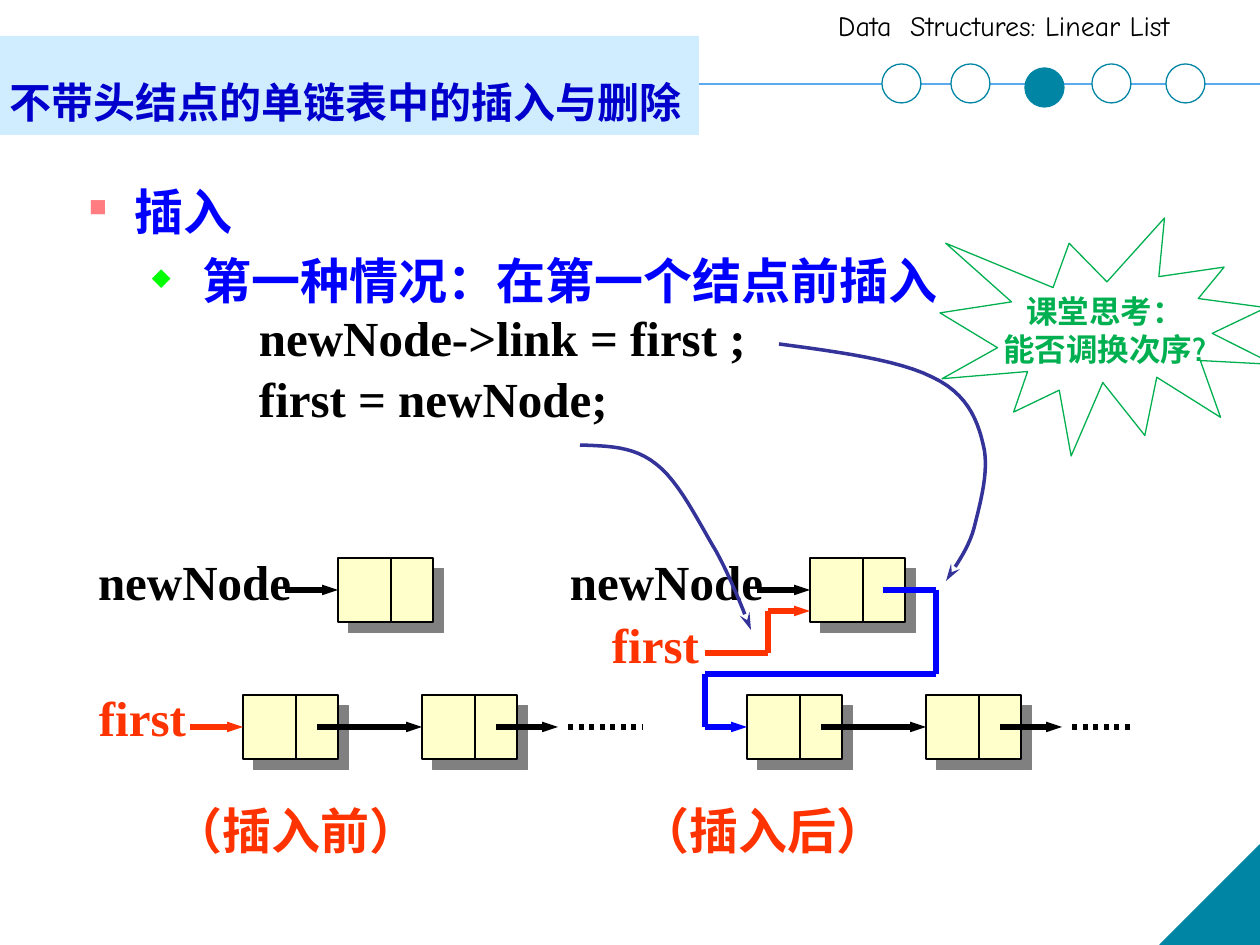
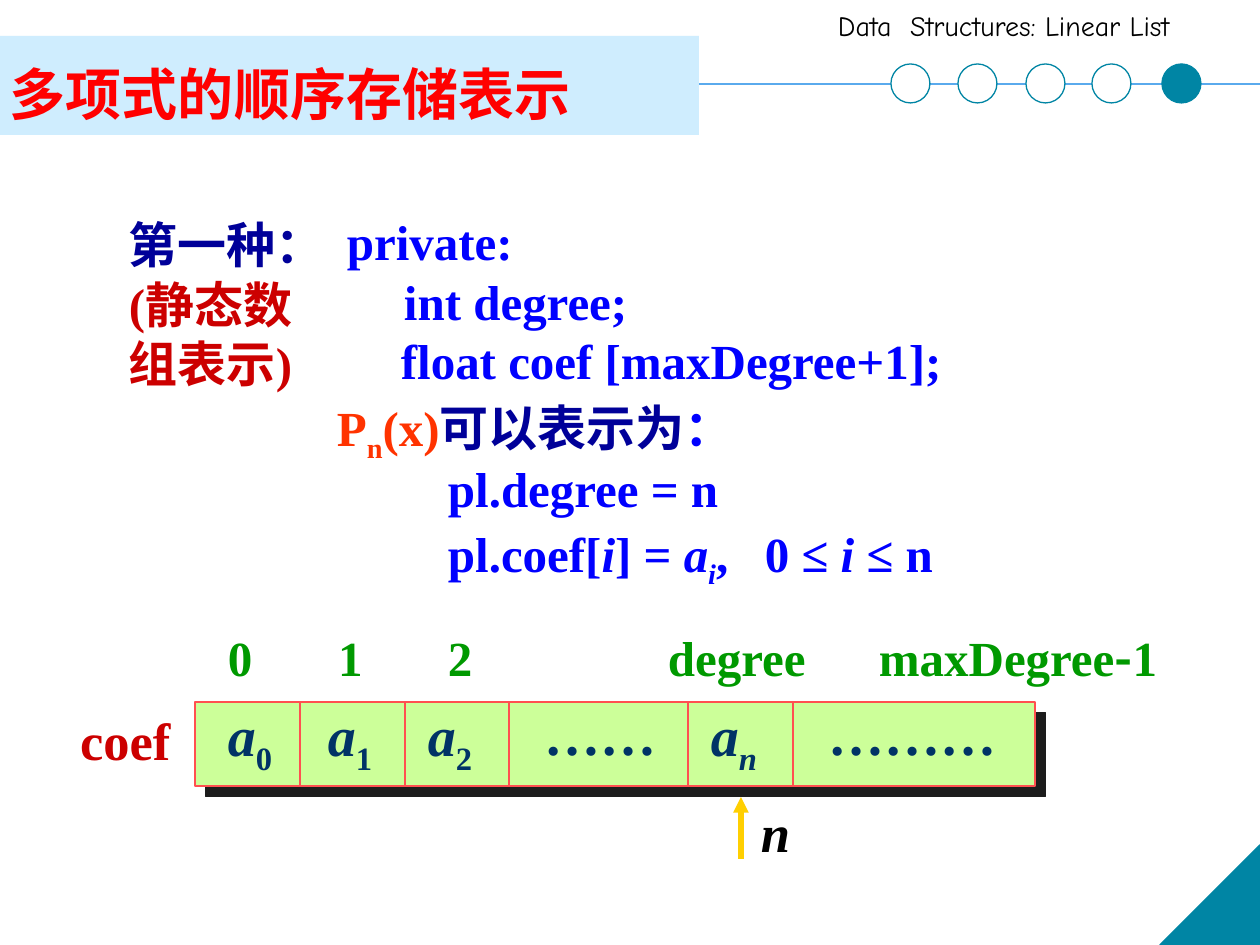
from dataclasses import dataclass

from lxml import etree
from pptx import Presentation
from pptx import util as u
from pptx.dml.color import RGBColor
from pptx.enum import dml, shapes, text
from pptx.oxml.ns import qn

PX_PER_INCH = 126


def px(n):
    return u.Emu(round(n * 914400 / PX_PER_INCH))


def rgb(code):
    return RGBColor.from_string(code)


def add_xml(parent, tag, **attributes):
    return etree.SubElement(parent, qn(tag), attributes)


@dataclass(frozen=True)
class Theme:
    serif: str = "Times New Roman"
    cjk: str = "Noto Sans CJK SC"
    header_font: str = "Comic Neue"
    callout_font: str = "Cabin"
    black: str = "000000"
    white: str = "FFFFFF"
    teal: str = "0085A4"
    rule: str = "5AAAED"
    band: str = "CFEDFE"
    title_blue: str = "0000CC"
    title_red: str = "FF0000"
    blue: str = "0000FF"
    navy: str = "000099"
    orange: str = "FF3300"
    crimson: str = "CC0000"
    pink: str = "FF7C80"
    lime: str = "00FF00"
    green: str = "00B050"
    index_green: str = "009900"
    item_blue: str = "003366"
    node: str = "FFFFCC"
    node_shadow: str = "808080"
    array: str = "CCFF99"
    array_line: str = "FF5050"
    array_shadow: str = "1C1C1C"
    gold: str = "FFCF01"
    curve: str = "333399"
    header: int = 16
    callout: int = 18
    body: int = 28
    name: int = 30
    item: int = 32


@dataclass
class Row:
    """One paragraph: runs are strings or (string, changes); pitch is its line height in px."""
    runs: list
    pitch: int = 56
    indent: int = 0
    bullet: tuple = ()


class Deck:
    def __init__(self, theme):
        self.theme = theme
        self.prs = Presentation()
        self.prs.slide_width, self.prs.slide_height = px(1260), px(945)
        self.slide = None

    def new_slide(self, title, size, colour, circles, current):
        """Start a slide with its band, title and progress circles, given as (left, top)."""
        t = self.theme
        self.slide = self.prs.slides.add_slide(self.prs.slide_layouts[6])
        self.line((0, 84), (1260, 84), t.rule, 1)
        corner = self.shape("RIGHT_TRIANGLE", 1160, 845, 100, 100, t.teal, t.teal)
        corner._element.spPr.xfrm.set("flipH", "1")
        self.words(838, 10, 420, ["Data  Structures: Linear List"], t.black, t.header,
                   font=t.header_font, bold=False, pitch=32)
        self.shape("RECTANGLE", 0, 36, 699, 99, t.band)
        self.words(10, 57, 720, [title], colour, size, font=t.cjk, pitch=70)
        for i, (x, y) in enumerate(circles):
            self.shape("OVAL", x, y, 39, 39, t.teal if i == current else t.white, t.teal)

    def shape(self, kind, x, y, w, h, fill=None, line=None, shadow=None):
        shape = self.slide.shapes.add_shape(
            getattr(shapes.MSO_SHAPE, kind), px(x), px(y), px(w), px(h))
        shape.shadow.inherit = False
        if fill:
            shape.fill.solid()
            shape.fill.fore_color.rgb = rgb(fill)
        else:
            shape.fill.background()
        if line:
            shape.line.color.rgb = rgb(line)
            shape.line.width = u.Pt(0.75)
        else:
            shape.line.fill.background()
        if shadow:
            effects = shape._element.spPr.find(qn("a:effectLst"))
            outer = add_xml(effects, "a:outerShdw", dist=str(px(15)), dir="2700000",
                            algn="ctr", rotWithShape="0")
            add_xml(outer, "a:srgbClr", val=shadow)
        return shape

    def arrowhead(self, line, kind, width, length):
        add_xml(line._get_or_add_ln(), "a:tailEnd", type=kind, w=width, len=length)

    def line(self, start, end, colour, width=0.75, head=None, target=None, dotted=False):
        """Draw a line; head is the arrowhead width, target a shape joined at its left side."""
        line = self.slide.shapes.add_connector(
            shapes.MSO_CONNECTOR.STRAIGHT, *map(px, (*start, *end)))
        add_xml(line._element.spPr, "a:effectLst")
        line.line.color.rgb = rgb(colour)
        line.line.width = u.Pt(width)
        if dotted:
            line.line.dash_style = dml.MSO_LINE.ROUND_DOT
        if head:
            self.arrowhead(line.line, "triangle", head, "med")
        if target:
            line.end_connect(target, 1)

    def route(self, points, colour, target=None):
        """Draw connected thick segments with an arrowhead on the last."""
        *bends, last = zip(points, points[1:])
        for start, end in bends:
            self.line(start, end, colour, 3)
        self.line(*last, colour, 3, "sm", target)

    def curve(self, points, colour, steps=12):
        """Draw an arrow along cubic curves; points are start, then three for each curve."""
        track = []
        for i in range(0, len(points) - 1, 3):
            a, b, c, d = points[i:i + 4]
            for s in range(1, steps + 1):
                f = s / steps
                g = 1 - f
                track.append(tuple(
                    px(g**3 * p + 3 * g * g * f * q + 3 * g * f * f * r + f**3 * e)
                    for p, q, r, e in zip(a, b, c, d)))
        builder = self.slide.shapes.build_freeform(*map(px, points[0]), scale=1.0)
        builder.add_line_segments(track, close=False)
        arrow = builder.convert_to_shape()
        arrow.shadow.inherit = False
        arrow.fill.background()
        arrow.line.color.rgb = rgb(colour)
        arrow.line.width = u.Pt(2)
        self.arrowhead(arrow.line, "stealth", "med", "lg")

    def words(self, x, y, w, runs, colour, size=None, pitch=56, **style):
        self.rows(x, y, w, [Row(runs, pitch)], colour, size, **style)

    def rows(self, x, y, w, rows, colour, size=None, **style):
        box = self.slide.shapes.add_textbox(
            px(x), px(y), px(w), px(sum(row.pitch for row in rows)))
        self.fill_text(box.text_frame, rows, colour, size, **style)

    def fill_text(self, frame, rows, colour, size=None, font=None, bold=True,
                  italic=False, align="LEFT"):
        t = self.theme
        frame.word_wrap = True
        frame.margin_left = frame.margin_right = frame.margin_top = frame.margin_bottom = 0
        for i, row in enumerate(rows):
            para = frame.add_paragraph() if i else frame.paragraphs[0]
            para.alignment = getattr(text.PP_ALIGN, align)
            para.line_spacing = u.Pt(round(row.pitch * 72 / PX_PER_INCH, 2))
            para.font.size = u.Pt(size or t.body)
            para.font.name = font or t.serif
            para.font.bold = bold
            para.font.italic = italic
            para.font.color.rgb = rgb(colour)
            for part in row.runs:
                self.run(para, *((part, {}) if isinstance(part, str) else part))
            props = para._p.pPr
            if any(ch >= "\u4e00" for ch in para.text):
                add_xml(props.find(qn("a:defRPr")), "a:ea", typeface=t.cjk)
            props.set("marL", str(px(row.indent)))
            if row.bullet:
                self.bullet(props, *row.bullet)

    def run(self, para, content, changes):
        run = para.add_run()
        run.text = content
        if "colour" in changes:
            run.font.color.rgb = rgb(changes["colour"])
        if "italic" in changes:
            run.font.italic = changes["italic"]
        if "font" in changes:
            run.font.name = changes["font"]
        if changes.get("sub"):
            run._r.get_or_add_rPr().set("baseline", "-25000")

    def bullet(self, props, mark, colour, hanging):
        props.set("indent", str(px(-hanging)))
        tint = etree.Element(qn("a:buClr"))
        add_xml(tint, "a:srgbClr", val=colour)
        defaults = props.find(qn("a:defRPr"))
        for item in (tint, etree.Element(qn("a:buSzPct"), val="50000"),
                     etree.Element(qn("a:buChar"), char=mark)):
            defaults.addprevious(item)

    def node(self, x, y):
        t = self.theme
        node = self.shape("RECTANGLE", x, y, 95, 64, t.node, t.black, t.node_shadow)
        self.line((x + 53, y), (x + 53, y + 64), t.black)
        return node

    def new_node(self, x):
        t = self.theme
        node = self.node(x, 558)
        self.line((x - 53, 590), (x, 590), t.black, 3, "sm", node)
        self.words(x - 240, 554, 220, ["newNode"], t.black)

    def chain(self, x, dots_end):
        """Draw two linked nodes and the dots after them; return the first node."""
        t = self.theme
        first, second = (self.node(x + step, 695) for step in (0, 179))
        self.line((x + 74, 727), (x + 179, 727), t.black, 3, "sm", second)
        self.line((x + 253, 727), (x + 315, 727), t.black, 3, "sm")
        self.line((x + 325, 727), (dots_end, 727), t.black, 3, dotted=True)
        return first


def insertion_slide(deck):
    t = deck.theme
    deck.new_slide("不带头结点的单链表中的插入与删除", 24, t.title_blue,
                   [(882, 64), (951, 64), (1025, 68), (1092, 64), (1166, 64)], 2)
    deck.rows(89, 180, 1000, [
        Row(["插入"], 60, 46, ("■", t.pink, 46)),
        Row(["第一种情况：在第一个结点前插入"], 69, 114, ("◆", t.lime, 51)),
        Row([("newNode->link = first ;", {"colour": t.black})], 57, 170),
        Row([("first = newNode;", {"colour": t.black})], 61, 170),
    ], t.blue)
    for x, caption in ((174, "（插入前）"), (641, "（插入后）")):
        deck.words(x, 803, 300, [caption], t.orange)

    for x in (338, 810):
        deck.new_node(x)
    before = deck.chain(243, 643)
    after = deck.chain(747, 1135)
    for x, y in ((99, 690), (612, 617)):
        deck.words(x, y, 100, ["first"], t.orange)
    deck.route([(190, 727), (243, 727)], t.orange, before)
    deck.route([(705, 653), (768, 653), (768, 611), (810, 611)], t.orange)
    deck.route([(883, 590), (936, 590), (936, 674), (705, 674), (705, 727), (747, 727)],
               t.blue, after)

    deck.curve([(779, 344), (839, 352), (898, 360), (932, 377), (966, 393), (977, 418),
                (983, 444), (990, 469), (980, 504), (974, 528), (968, 551), (951, 572),
                (946, 581)], t.curve)
    deck.curve([(580, 445), (607, 446), (634, 446), (656, 464), (679, 481), (699, 523),
                (716, 551), (731, 578), (746, 617), (751, 630)], t.curve)
    question = deck.shape("EXPLOSION1", 940, 218, 334, 238, line=t.green).text_frame
    deck.fill_text(question, [Row(["课堂思考："], 38), Row(["能否调换次序?"], 38)],
                   t.green, t.callout, font=t.callout_font, align="CENTER")
    question.word_wrap = False
    question.vertical_anchor = text.MSO_ANCHOR.MIDDLE


def polynomial_slide(deck):
    t = deck.theme
    italic, sub = {"italic": True}, {"sub": True}
    deck.new_slide("多项式的顺序存储表示", 32, t.title_red,
                   [(x, 64) for x in (891, 958, 1026, 1092, 1162)], 4)
    deck.rows(129, 213, 205, [
        Row([("第一种：", {"colour": t.navy})], 60),
        Row(["(静态数"], 60),
        Row(["组表示)"], 59),
    ], t.crimson)
    orange = {"colour": t.orange}
    deck.rows(337, 210, 800, [
        Row(["private:"], 60, 10),
        Row(["int degree;"], 60, 67),
        Row(["float coef [maxDegree+1];"], 59, 64),
        Row([("P", orange), ("n", orange | sub), ("(x)", orange),
             ("可以表示为", {"colour": t.navy}), "："], 75),
        Row(["pl.degree = n"], 53, 111),
        Row(["pl.coef[", ("i", italic), "] = ", ("a", italic), ("i", italic | sub), ","],
            73, 111),
    ], t.blue)
    deck.words(765, 526, 300, ["0 ≤ ", ("i", italic), " ≤ n"], t.blue)

    deck.shape("RECTANGLE", 195, 702, 840, 84, t.array, t.array_line, t.array_shadow)
    for x in (300, 405, 509, 688, 793):
        deck.line((x, 702), (x, 786), t.array_line)
    for x, index in ((228, "0"), (328, "1"), (428, "2"), (711, "n")):
        deck.words(x, 703, 75, [("a", italic), (index, {"sub": True, "italic": index == "n"})],
                   t.item_blue, t.item, pitch=74)
    for x, dots in ((545, "……"), (829, "………")):
        deck.words(x, 703, 200, [dots], t.item_blue, t.item, pitch=64)
    for x, index in ((228, "0"), (338, "1"), (448, "2"), (668, "degree")):
        deck.words(x, 630, 180, [index], t.index_green)
    deck.words(879, 630, 340, ["maxDegree", ("-", {"font": t.cjk}), "1"], t.index_green)
    deck.words(80, 711, 110, ["coef"], t.crimson, t.name, pitch=60)
    deck.line((741, 859), (741, 797), t.gold, 3, "med")
    deck.words(761, 803, 50, ["n"], t.black, t.name, pitch=60, italic=True)


def main():
    deck = Deck(Theme())
    insertion_slide(deck)
    polynomial_slide(deck)
    deck.prs.save("out.pptx")


if __name__ == "__main__":
    main()
